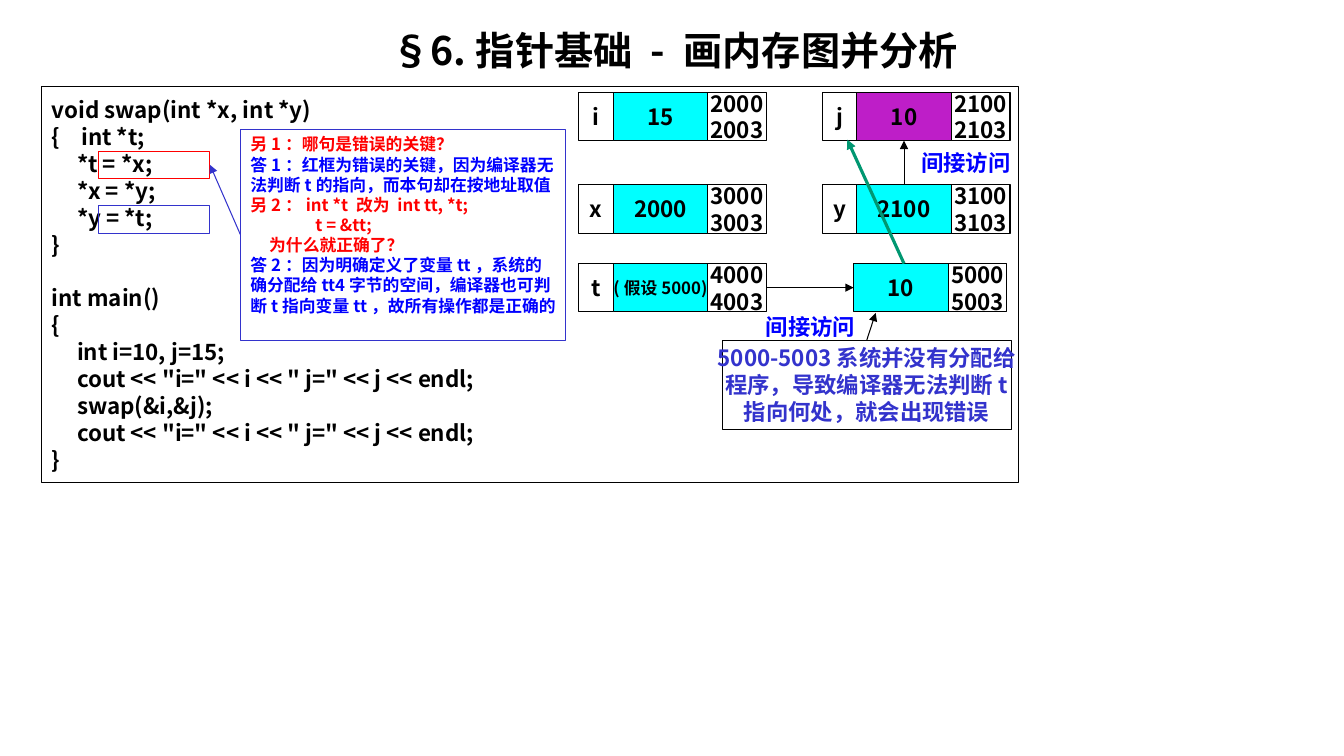
from dataclasses import dataclass

from lxml.etree import SubElement
from pptx import Presentation
from pptx.dml.color import RGBColor
from pptx.enum.shapes import MSO_CONNECTOR, MSO_SHAPE
from pptx.enum.text import MSO_ANCHOR, MSO_AUTO_SIZE, PP_ALIGN
from pptx.oxml.ns import qn
from pptx.util import Emu, Pt

EMU_PER_PX = 9525
SANS, SERIF = "Noto Sans CJK SC", "Times New Roman"
LINE_HEIGHT = 1.2
COLORS = {
    "black": "000000", "cyan": "00FFFF", "purple": "BE1EC8", "indigo": "3333CC",
    "blue": "0000FF", "red": "FF0000", "green": "009771",
}
TOP, LEFT, BOTTOM, RIGHT = range(4)
CELL_WIDTHS, CELL_HEIGHT = (33, 90, 56), 46


@dataclass(frozen=True)
class Line:
    text: str
    color: str = "black"
    indent: int = 0
    tab: int = 0
    gap: float = 0


@dataclass(frozen=True)
class Variable:
    name: str
    value: str
    address: int
    x: int
    y: int
    fill: str = "cyan"
    size: int = 16


CODE = [
    Line("void swap(int *x, int *y)"),
    Line("{\tint *t;", tab=28),
    Line("*t = *x;", indent=24),
    Line("*x = *y;", indent=24),
    Line("*y = *t;", indent=24),
    Line("}"),
    Line("int main()", gap=16 * LINE_HEIGHT),
    Line("{"),
    Line("int i=10, j=15;", indent=24),
    Line('cout << "i=" << i << " j=" << j << endl;', indent=24),
    Line("swap(&i,&j);", indent=24),
    Line('cout << "i=" << i << " j=" << j << endl;', indent=24),
    Line("}"),
]
QUESTIONS = [
    Line("另1：哪句是错误的关键？", "red"),
    Line("答1：红框为错误的关键，因为编译器无法判断t的指向，而本句却在按地址取值", "blue"),
    Line("另2：int *t 改为 int tt, *t;", "red"),
    Line("t = &tt;", "red", indent=62),
    Line("为什么就正确了？", "red", indent=18),
    Line("答2：因为明确定义了变量tt，系统的确分配给tt4字节的空间，"
         "编译器也可判断t指向变量tt，故所有操作都是正确的", "blue"),
]
WARNING = [
    Line("5000-5003系统并没有分配给", "indigo"),
    Line("程序，导致编译器无法判断t", "indigo"),
    Line("指向何处，就会出现错误", "indigo"),
]
VARIABLES = [
    Variable("i", "15", 2000, 551, 88),
    Variable("j", "10", 2100, 783, 88, "purple"),
    Variable("x", "2000", 3000, 551, 176),
    Variable("y", "2100", 3100, 783, 176),
    Variable("t", "(假设5000)", 4000, 551, 251, size=12),
    Variable("", "10", 5000, 780, 251),
]


def px(length: int) -> Emu:
    return Emu(length * EMU_PER_PX)


def rgb(color: str) -> RGBColor:
    return RGBColor.from_string(COLORS[color])


def write(holder, lines: list[Line], size: int = 16, font: str = SANS,
          align=PP_ALIGN.CENTER, anchor=MSO_ANCHOR.MIDDLE, wrap: bool = False) -> None:
    frame = holder.text_frame
    frame.auto_size = MSO_AUTO_SIZE.NONE
    frame.word_wrap = wrap
    frame.vertical_anchor = anchor
    frame.text = "\n".join(line.text for line in lines)
    for paragraph, line in zip(frame.paragraphs, lines):
        paragraph.alignment = align
        paragraph.line_spacing = Pt(size * LINE_HEIGHT)
        paragraph.space_before = Pt(line.gap)
        properties = paragraph._p.get_or_add_pPr()
        if line.indent:
            properties.set("marL", str(px(line.indent)))
            properties.set("indent", "0")
        if line.tab:
            stops = SubElement(properties, qn("a:tabLst"))
            SubElement(stops, qn("a:tab"), pos=str(px(line.tab)), algn="l")
        for run in paragraph.runs:
            run.font.size = Pt(size)
            run.font.bold = True
            run.font.color.rgb = rgb(line.color)
            run.font.name = font
            SubElement(run._r.get_or_add_rPr(), qn("a:ea"), typeface=SANS)


def add_box(shapes, x: int, y: int, width: int, height: int,
            border: str = "black", fill: str = ""):
    box = shapes.add_shape(MSO_SHAPE.RECTANGLE, px(x), px(y), px(width), px(height))
    box.shadow.inherit = False
    if fill:
        box.fill.solid()
        box.fill.fore_color.rgb = rgb(fill)
    else:
        box.fill.background()
    box.line.color.rgb = rgb(border)
    box.line.width = Pt(0.75)
    return box


def add_variable(shapes, variable: Variable) -> list:
    """Draw the name, value and address cells; a nameless variable has no name cell."""
    address = [Line(str(variable.address)), Line(str(variable.address + 3))]
    contents = ([Line(variable.name)], [Line(variable.value)], address)
    cells, x = [], variable.x
    for column, (width, lines) in enumerate(zip(CELL_WIDTHS, contents)):
        if lines[0].text:
            is_value = column == 1
            cell = add_box(shapes, x, variable.y, width, CELL_HEIGHT,
                           fill=variable.fill if is_value else "")
            write(cell, lines, variable.size if is_value else 16)
            cells.append(cell)
        x += width
    return cells


def add_arrow(shapes, start, end, color: str = "black", width: float = 0.75) -> None:
    """Each end is either an (x, y) point in px or a (shape, side) pair."""
    points = [(0, 0) if not isinstance(tip[0], int) else tip for tip in (start, end)]
    (x1, y1), (x2, y2) = points
    arrow = shapes.add_connector(MSO_CONNECTOR.STRAIGHT, px(x1), px(y1), px(x2), px(y2))
    for tip, join in ((start, arrow.begin_connect), (end, arrow.end_connect)):
        if not isinstance(tip[0], int):
            join(*tip)
    arrow.line.color.rgb = rgb(color)
    arrow.line.width = Pt(width)
    SubElement(arrow.line._get_or_add_ln(), qn("a:tailEnd"), type="triangle")
    SubElement(arrow._element.spPr, qn("a:effectLst"))


def add_label(shapes, x: int, y: int) -> None:
    label = shapes.add_textbox(px(x), px(y), px(100), px(28))
    write(label, [Line("间接访问", "blue")], font=SERIF)


def main() -> None:
    deck = Presentation()
    deck.slide_width, deck.slide_height = px(1280), px(720)
    slide = deck.slides.add_slide(deck.slide_layouts[5])
    shapes = slide.shapes

    title = shapes.title
    title.left, title.top, title.width, title.height = map(px, (19, 17, 1247, 681))
    write(title, [Line("§6.指针基础 - 画内存图并分析")], 28, anchor=MSO_ANCHOR.TOP, wrap=True)
    title.text_frame.margin_top = px(8)

    listing = add_box(shapes, 40, 82, 930, 378)
    write(listing, CODE, align=PP_ALIGN.LEFT, wrap=True)
    add_box(shapes, 94, 196, 106, 26, "indigo")
    faulty_line = add_box(shapes, 94, 144, 106, 26, "red")

    cells = {variable.address: add_variable(shapes, variable) for variable in VARIABLES}
    j_value, y_value = cells[2100][1], cells[3100][1]
    t_address, unallocated = cells[4000][2], cells[5000][0]

    add_arrow(shapes, (y_value, TOP), (j_value, BOTTOM))
    add_label(shapes, 870, 141)
    add_arrow(shapes, (t_address, RIGHT), (unallocated, LEFT))
    add_label(shapes, 722, 297)
    add_arrow(shapes, (861, 251), (807, 133), "green", 2.25)

    warning = add_box(shapes, 688, 324, 275, 85)
    write(warning, WARNING)
    add_arrow(shapes, (warning, TOP), (834, 298))

    questions = add_box(shapes, 229, 123, 310, 201, "indigo")
    write(questions, QUESTIONS, 12, align=PP_ALIGN.LEFT, anchor=MSO_ANCHOR.TOP, wrap=True)
    add_arrow(shapes, (questions, LEFT), (faulty_line, RIGHT), "indigo")

    deck.save("out.pptx")


if __name__ == "__main__":
    main()
